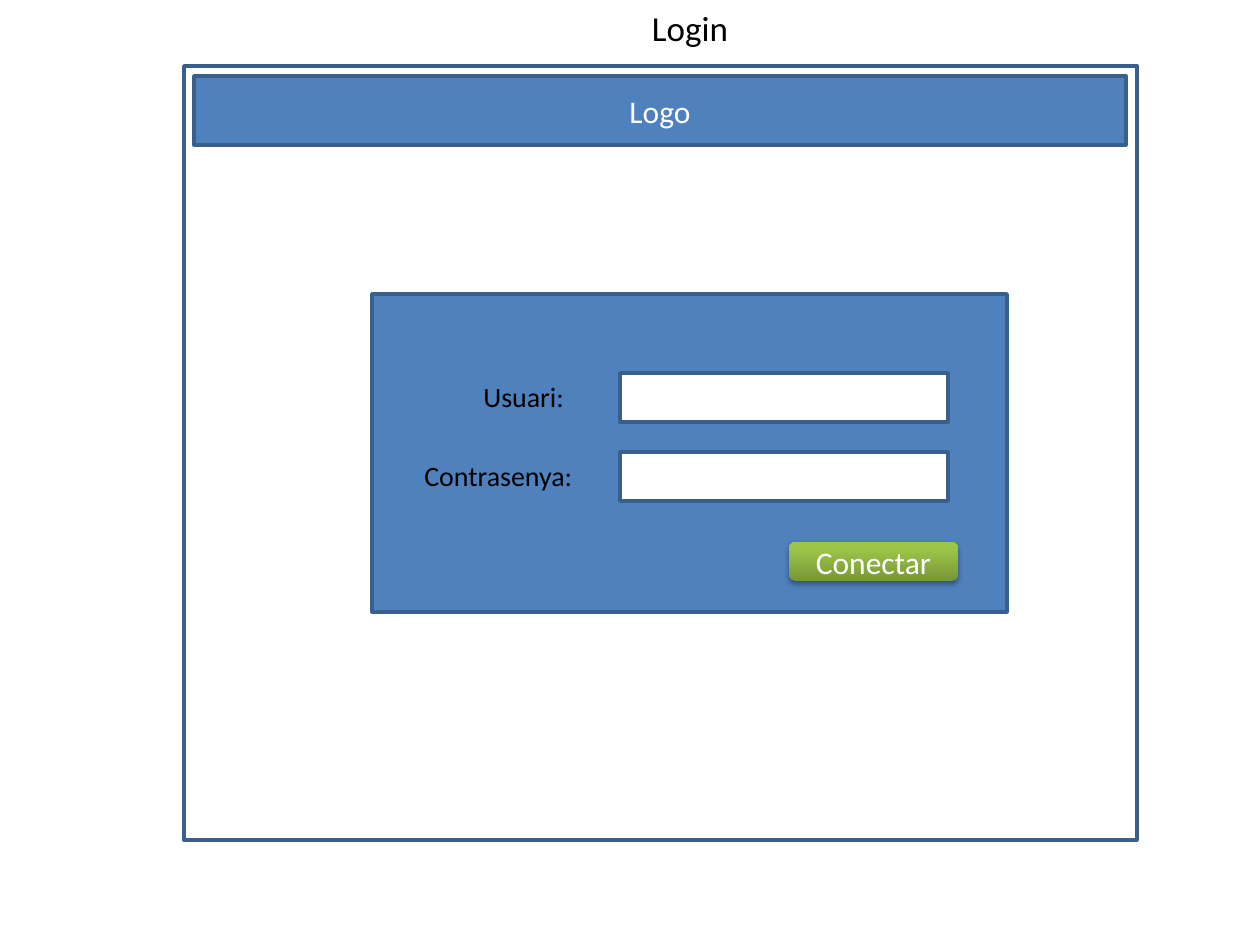
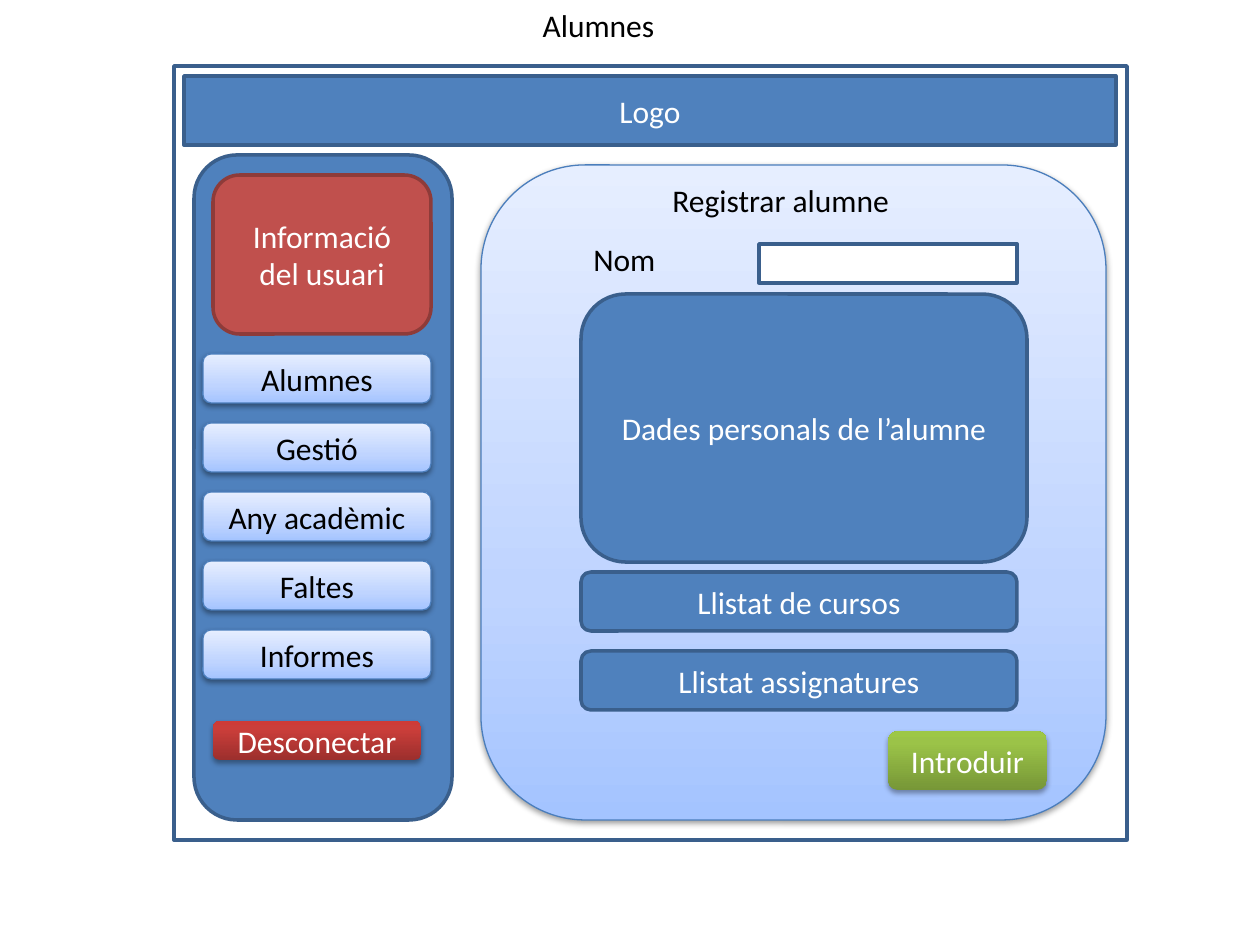
from lxml import etree
from pptx import Presentation
from pptx import util as u
from pptx.dml import color
from pptx.enum import shapes, text
from pptx.oxml import ns

SCALE = 914400 / 126
FONT = "Calibri"
WHITE, BLACK = "FFFFFF", "000000"
BLUE, BLUE_EDGE = "4F81BD", "3A5F8C"
RED, RED_EDGE = "C0504D", "8E3B39"
PALE_EDGE = "4B7EBC"
PALE_STOPS = [(0, "A4C4FF"), (35, "BFD4FF"), (100, "E6EEFF")]
GREEN_STOPS = [(0, "779737"), (80, "9BC348"), (100, "9DC746")]
RED_STOPS = [(0, "9C2F2D"), (80, "CB3E3A"), (100, "CE3B37")]
RECT = shapes.MSO_SHAPE.RECTANGLE
ROUND = shapes.MSO_SHAPE.ROUNDED_RECTANGLE
CENTER, LEFT = text.PP_ALIGN.CENTER, text.PP_ALIGN.LEFT
MIDDLE, TOP = text.MSO_ANCHOR.MIDDLE, text.MSO_ANCHOR.TOP


def emu(*pixels):
    """Turn pixel lengths into EMU."""
    return [u.Emu(round(value * SCALE)) for value in pixels]


def rgb(value):
    """Turn a hex string into a colour."""
    return color.RGBColor.from_string(value)


def inside(box, left, top, width, height):
    """Give the place on the page of a part of a box."""
    return box[0] + left, box[1] + top, width, height


def write(shape, words, size=18, ink=WHITE, align=CENTER, anchor=MIDDLE):
    """Put formatted words into a shape."""
    frame = shape.text_frame
    frame.word_wrap = True
    frame.auto_size = text.MSO_AUTO_SIZE.NONE
    frame.vertical_anchor = anchor
    para = frame.paragraphs[0]
    para.alignment = align
    span = para.add_run()
    span.text = words
    span.font.name = FONT
    span.font.size = u.Pt(size)
    span.font.color.rgb = rgb(ink)


def add_colour(parent, value, **children):
    """Add a hex colour with optional modifiers to an XML element."""
    item = etree.SubElement(parent, ns.qn("a:srgbClr"), val=value)
    for name, amount in children.items():
        etree.SubElement(item, ns.qn("a:" + name), val=str(amount))


def add_gradient(shape, stops):
    """Fill a shape from bottom to top with colour stops."""
    shape.fill.gradient()
    shape.fill.gradient_angle = 90
    stop_list = shape._element.spPr.find(".//" + ns.qn("a:gsLst"))
    for old in list(stop_list):
        stop_list.remove(old)
    for percent, value in stops:
        stop = etree.SubElement(stop_list, ns.qn("a:gs"), pos=str(percent * 1000))
        add_colour(stop, value)


def add_shadow(shape, opacity, distance):
    """Cast a soft shadow straight down."""
    effects = shape._element.spPr.find(ns.qn("a:effectLst"))
    shadow = etree.SubElement(
        effects, ns.qn("a:outerShdw"), blurRad=str(u.Pt(3.1)),
        dist=str(u.Pt(distance)), dir="5400000", rotWithShape="0")
    add_colour(shadow, BLACK, alpha=opacity * 1000)


def add_block(page, box, words="", kind=RECT, fill=BLUE, edge=BLUE_EDGE):
    """Draw a flat outlined block."""
    shape = page.shapes.add_shape(kind, *emu(*box))
    shape.shadow.inherit = False
    shape.fill.solid()
    shape.fill.fore_color.rgb = rgb(fill)
    shape.line.color.rgb = rgb(edge)
    shape.line.width = u.Pt(2)
    if words:
        write(shape, words)


def add_raised(page, box, words="", stops=PALE_STOPS):
    """Draw a rounded gradient block; only pale ones have an edge."""
    shape = page.shapes.add_shape(ROUND, *emu(*box))
    shape.shadow.inherit = False
    add_gradient(shape, stops)
    pale = stops is PALE_STOPS
    if pale:
        shape.line.color.rgb = rgb(PALE_EDGE)
        shape.line.width = u.Pt(0.75)
    else:
        shape.line.fill.background()
    add_shadow(shape, 38 if pale else 35, 1.6 if pale else 1.8)
    if words:
        write(shape, words, ink=BLACK if pale else WHITE)


def add_label(page, box, words, size=18):
    """Place a plain black label."""
    shape = page.shapes.add_textbox(*emu(*box))
    write(shape, words, size=size, ink=BLACK, align=LEFT, anchor=TOP)


def add_screen(deck, title, title_box, frame, **title_format):
    """Start a page with its title, window frame and logo band."""
    page = deck.slides.add_slide(deck.slide_layouts[5])
    heading = page.shapes.title
    heading.left, heading.top, heading.width, heading.height = emu(*title_box)
    write(heading, title, ink=BLACK, anchor=TOP, **title_format)
    add_block(page, frame, fill=WHITE)
    add_block(page, inside(frame, 10, 10, 932, 69), "Logo")
    return page


def add_login_form(page, box):
    """Draw the login panel with its fields and button."""
    add_block(page, box)
    labels = [("Usuari:", 99, 110), ("Contrasenya:", 40, 189)]
    for row, (words, left, width) in enumerate(labels):
        top = 79 * (row + 1)
        add_block(page, inside(box, 248, top, 328, 49), fill=WHITE)
        add_label(page, inside(box, left, top, width, 47), words, size=16)
    add_raised(page, inside(box, 417, 248, 169, 39), "Conectar", GREEN_STOPS)


def add_sidebar(page, box):
    """Draw the user card, the menu and the logout button."""
    add_block(page, box, kind=ROUND)
    add_block(page, inside(box, 19, 20, 218, 159), "Informació del usuari",
              kind=ROUND, fill=RED, edge=RED_EDGE)
    menu = ["Alumnes", "Gestió", "Any acadèmic", "Faltes", "Informes"]
    for row, words in enumerate(menu):
        add_raised(page, inside(box, 9, 199 + 69 * row, 228, 49), words)
    add_raised(page, inside(box, 19, 566, 208, 39), "Desconectar", RED_STOPS)


def add_student_form(page, box):
    """Draw the student registration panel."""
    add_raised(page, box)
    add_label(page, inside(box, 179, 10, 248, 50), "Registrar alumne")
    add_label(page, inside(box, 100, 69, 100, 50), "Nom")
    add_block(page, inside(box, 278, 79, 258, 39), fill=WHITE)
    add_block(page, inside(box, 100, 129, 446, 268),
              "Dades personals de l’alumne", kind=ROUND)
    for row, words in enumerate(["Llistat de cursos", "Llistat assignatures"]):
        add_block(page, inside(box, 100, 407 + 79 * row, 436, 59), words, kind=ROUND)
    add_raised(page, inside(box, 407, 566, 159, 59), "Introduir", GREEN_STOPS)


def build():
    """Build both screens and save the deck."""
    deck = Presentation()
    deck.slide_width, deck.slide_height = emu(1260, 945)
    login = add_screen(deck, "Login", (402, 0, 576, 55), (184, 66, 953, 774), size=20)
    add_login_form(login, (372, 294, 635, 318))
    students = add_screen(deck, "Alumnes", (530, 0, 145, 50),
                          (174, 66, 953, 774), align=LEFT)
    add_sidebar(students, (194, 155, 258, 665))
    add_student_form(students, (481, 165, 625, 655))
    deck.save("out.pptx")


build()
